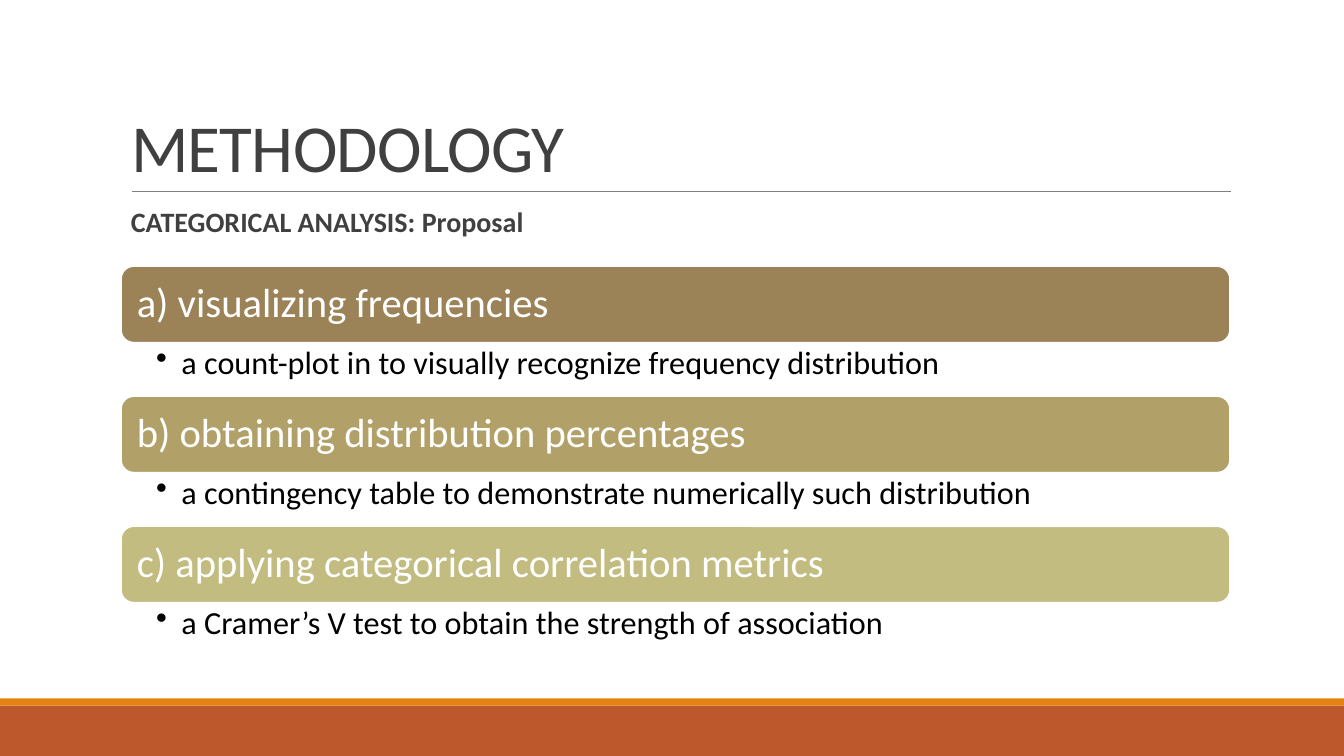
from lxml import etree
from pptx import Presentation
from pptx.dml.color import RGBColor
from pptx.enum.shapes import MSO_CONNECTOR as CONN, MSO_SHAPE as SHAPE
from pptx.enum.text import MSO_ANCHOR as ANCHOR, MSO_AUTO_SIZE as AUTO, PP_ALIGN as ALIGN
from pptx.oxml.ns import qn
from pptx.util import Inches, Pt

FONT = "Calibri"
WHITE = RGBColor(0xFF, 0xFF, 0xFF)
BLACK = RGBColor(0, 0, 0)
DARK = RGBColor(0x40, 0x40, 0x40)
GRAY = RGBColor(0x80, 0x80, 0x80)
RUST = RGBColor(0xBD, 0x58, 0x2C)
ORANGE = RGBColor(0xE4, 0x83, 0x12)
BROWN = RGBColor(0x9B, 0x83, 0x57)
OCHRE = RGBColor(0xB1, 0xA1, 0x69)
OLIVE = RGBColor(0xC2, 0xBC, 0x80)

LEFT, WIDTH = 1.2, 11
BAR_TOP, BAR_H, NOTE_H = 2.64, 0.76, 0.53

STEPS = [
    ("a) visualizing frequencies",
     "a count-plot in to visually recognize frequency distribution", BROWN),
    ("b) obtaining distribution percentages",
     "a contingency table to demonstrate numerically such distribution", OCHRE),
    ("c) applying categorical correlation metrics",
     "a Cramer’s V test to obtain the strength of association", OLIVE),
]


def write(tf, text, size, color, bold=False, spacing=0.9, anchor=ANCHOR.TOP,
          insets=(0.1, 0.05, 0.1, 0.05), tracking=None, bullet=False):
    """Fill a text frame with one formatted paragraph."""
    tf.word_wrap, tf.auto_size, tf.vertical_anchor = True, AUTO.NONE, anchor
    (tf.margin_left, tf.margin_top,
     tf.margin_right, tf.margin_bottom) = map(Inches, insets)
    p = tf.paragraphs[0]
    p.alignment, p.line_spacing = ALIGN.LEFT, spacing
    r = p.add_run()
    r.text = text
    r.font.name, r.font.size, r.font.bold = FONT, Pt(size), bold
    r.font.color.rgb = color
    if tracking is not None:
        r.font._element.set("spc", str(int(tracking * 100)))
    if bullet:
        pPr = p._p.get_or_add_pPr()
        pPr.set("marL", str(Inches(0.25)))
        pPr.set("indent", str(-Inches(0.25)))
        etree.SubElement(pPr, qn("a:buChar")).set("char", "•")


class SlideBuilder:
    def __init__(self, prs):
        self.s = prs.slides.add_slide(prs.slide_layouts[5])

    def title(self, text, x, y, w, h):
        sp = self.s.shapes.title
        sp.left, sp.top, sp.width, sp.height = map(Inches, (x, y, w, h))
        write(sp.text_frame, text, 48, DARK, spacing=0.85,
              anchor=ANCHOR.BOTTOM, tracking=-0.5)

    def box(self, kind, x, y, w, h, fill, line=None):
        sp = self.s.shapes.add_shape(kind, *map(Inches, (x, y, w, h)))
        sp.shadow.inherit = False
        sp.fill.solid()
        sp.fill.fore_color.rgb = fill
        if line is None:
            sp.line.fill.background()
        else:
            sp.line.color.rgb, sp.line.width = line, Pt(1.25)
        return sp

    def rule(self, x1, x2, y):
        cx = self.s.shapes.add_connector(
            CONN.STRAIGHT, *map(Inches, (x1, y, x2, y)))
        cx.line.color.rgb, cx.line.width = GRAY, Pt(0.5)
        etree.SubElement(cx._element.spPr, qn("a:effectLst"))

    def text(self, text, x, y, w, h, size, color, **fmt):
        sp = self.s.shapes.add_textbox(*map(Inches, (x, y, w, h)))
        write(sp.text_frame, text, size, color, **fmt)

    def step(self, heading, note, color, y):
        bar = self.box(SHAPE.ROUNDED_RECTANGLE, LEFT, y, WIDTH, BAR_H, color, WHITE)
        write(bar.text_frame, heading, 29, WHITE, anchor=ANCHOR.MIDDLE,
              insets=(0.12, 0.12, 0.12, 0.12))
        self.text(note, LEFT, y + BAR_H, WIDTH, NOTE_H, 23, BLACK,
                  insets=(0.35, 0.04, 0.23, 0.04), bullet=True)


def main():
    prs = Presentation()
    prs.slide_width, prs.slide_height = Inches(13.33), Inches(7.5)
    slide = SlideBuilder(prs)

    # Footer bands and title rule
    slide.box(SHAPE.RECTANGLE, 0, 7, 13.33, 0.5, RUST)
    slide.box(SHAPE.RECTANGLE, 0, 6.93, 13.33, 0.07, ORANGE)
    slide.rule(1.31, 12.21, 1.9)

    # Title and subtitle
    slide.title("METHODOLOGY", LEFT, 0.31, WIDTH, 1.59)
    slide.text("CATEGORICAL ANALYSIS: Proposal", LEFT, 2.02, WIDTH, 0.5,
               20, DARK, bold=True)

    # Steps, each a bar with a bulleted note
    for i, (heading, note, color) in enumerate(STEPS):
        slide.step(heading, note, color, BAR_TOP + i * (BAR_H + NOTE_H))

    prs.save("out.pptx")


if __name__ == "__main__":
    main()
